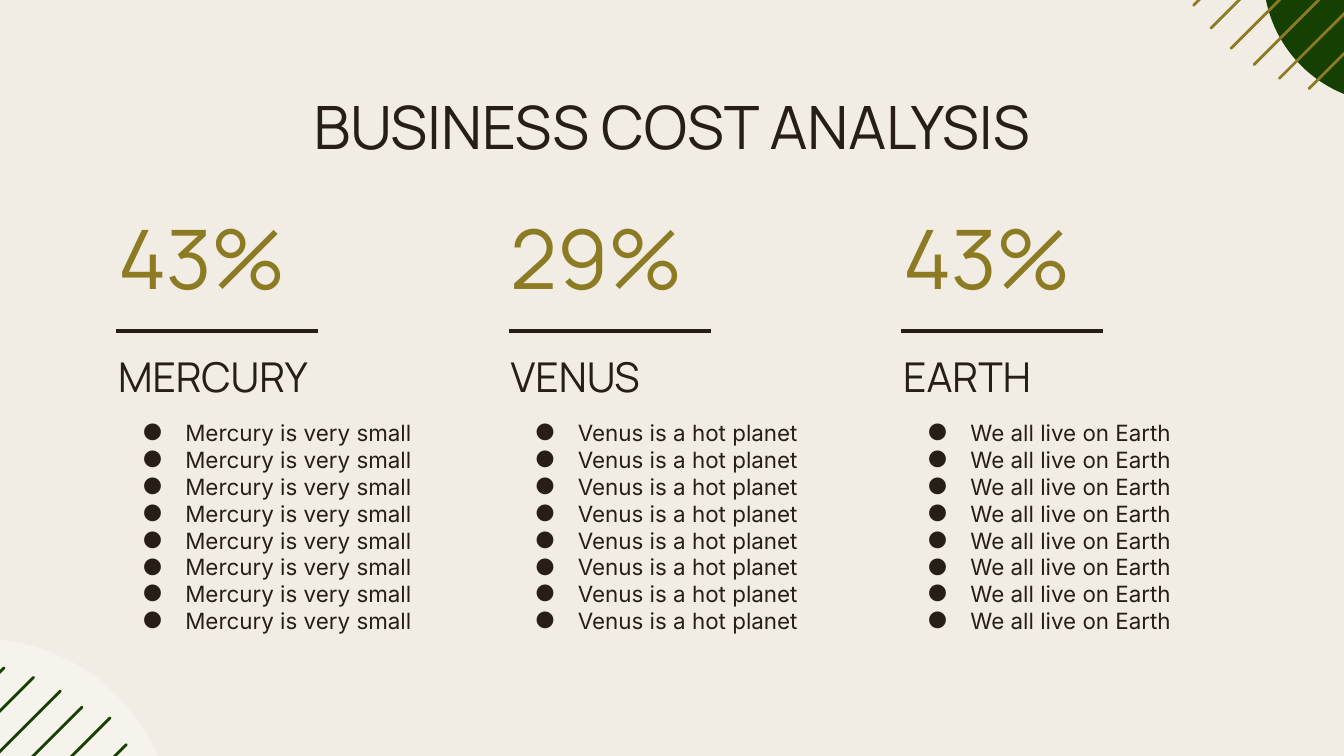
from lxml.etree import SubElement
from pptx import Presentation
from pptx.dml.color import RGBColor
from pptx.enum.shapes import MSO_CONNECTOR, MSO_SHAPE
from pptx.enum.text import MSO_ANCHOR, PP_ALIGN
from pptx.oxml.ns import qn
from pptx.util import Pt

HUES = {"paper": "F2EDE4", "ink": "261E17", "gold": "8C7B23",
        "green": "154001", "white": "FFFFFF"}
HEAD, BODY = "Manrope", "Inter"


class Deck:
    """Holds the style and the current slide."""

    def __init__(self, wide, high):
        self.file = Presentation()
        self.file.slide_width, self.file.slide_height = Pt(wide), Pt(high)
        self.slide = self.file.slides.add_slide(self.file.slide_layouts[6])
        fill = self.slide.background.fill
        fill.solid()
        fill.fore_color.rgb = self.hue("paper")

    def hue(self, name):
        return RGBColor.from_string(HUES[name])

    def disc(self, x, y, wide, high, hue, alpha=100):
        disc = self.slide.shapes.add_shape(
            MSO_SHAPE.OVAL, Pt(x), Pt(y), Pt(wide), Pt(high))
        disc.shadow.inherit = False
        disc.line.fill.background()
        disc.fill.solid()
        disc.fill.fore_color.rgb = self.hue(hue)
        if alpha < 100:
            tint = disc.element.spPr.find(qn("a:solidFill"))[0]
            SubElement(tint, qn("a:alpha"), val=str(alpha * 1000))

    def line(self, x1, y1, x2, y2, hue, size, cap="flat"):
        line = self.slide.shapes.add_connector(
            MSO_CONNECTOR.STRAIGHT, Pt(x1), Pt(y1), Pt(x2), Pt(y2))
        line.line.width = Pt(size)
        line.line.color.rgb = self.hue(hue)
        props = line.element.spPr
        props.find(qn("a:ln")).set("cap", cap)
        SubElement(props, qn("a:effectLst"))

    def text(self, x, y, wide, high, rows, size, font=HEAD, hue="ink",
             align=PP_ALIGN.LEFT, anchor=MSO_ANCHOR.TOP, dots=False):
        box = self.slide.shapes.add_textbox(Pt(x), Pt(y), Pt(wide), Pt(high))
        frame = box.text_frame
        frame.word_wrap = True
        frame.vertical_anchor = anchor
        frame.margin_left = frame.margin_right = Pt(7.2)
        frame.margin_top = frame.margin_bottom = Pt(7.2)
        for i, row in enumerate(rows):
            para = frame.add_paragraph() if i else frame.paragraphs[0]
            para.alignment = align
            run = para.add_run()
            run.text = row
            run.font.name, run.font.size = font, Pt(size)
            run.font.color.rgb = self.hue(hue)
            if dots:
                self.dot(para, hue)

    def dot(self, para, hue):
        props = para._p.get_or_add_pPr()
        props.set("marL", str(Pt(36)))
        props.set("indent", str(Pt(-23)))
        tint = SubElement(props, qn("a:buClr"))
        SubElement(tint, qn("a:srgbClr"), val=HUES[hue])
        SubElement(props, qn("a:buFont"), typeface=BODY)
        SubElement(props, qn("a:buChar"), char="●")

    def stripes(self, ends, hue, way):
        for x, y, span in ends:
            self.line(x, y, x + way * span, y - way * span, hue, 1.5, "rnd")

    def column(self, x, share, name, note):
        wide, low = 187.2, MSO_ANCHOR.BOTTOM
        self.text(x, 177.8, wide, 43.9, [name], 22, anchor=low)
        self.text(x, 217.4, wide, 127.4, [note] * 8, 12, BODY, dots=True)
        self.text(x, 115.9, wide, 55.4, [share], 44, hue="gold", anchor=low)
        self.line(x + 6, 177.4, x + 114.3, 177.4, "ink", 2.25)


def main():
    deck = Deck(720, 405)
    deck.disc(676.8, -82.8, 138.2, 138.2, "green")
    deck.disc(-115.9, 342, 208.8, 207.4, "white", 36)
    deck.stripes([(639.4, 2.9, 140.4), (648.7, 15.1, 148),
                  (659.5, 25.9, 150.5), (671.8, 34.6, 145),
                  (685.4, 42, 133.5), (701.3, 47.5, 123)], "gold", 1)
    deck.stripes([(2.2, 357.8, 123), (18, 362.9, 133.5),
                  (32.4, 370.1, 140.4), (43.9, 378.9, 143.5),
                  (59, 384.6, 148.5), (67.7, 398.9, 143.5)], "green", -1)
    deck.text(56.2, 41, 607.7, 55.4, ["BUSINESS COST ANALYSIS"], 32,
              align=PP_ALIGN.CENTER)
    facts = [("43%", "MERCURY", "Mercury is very small"),
             ("29%", "VENUS", "Venus is a hot planet"),
             ("43%", "EARTH", "We all live on Earth")]
    for i, fact in enumerate(facts):
        deck.column(56.2 + 210.3 * i, *fact)
    deck.file.save("out.pptx")


if __name__ == "__main__":
    main()
